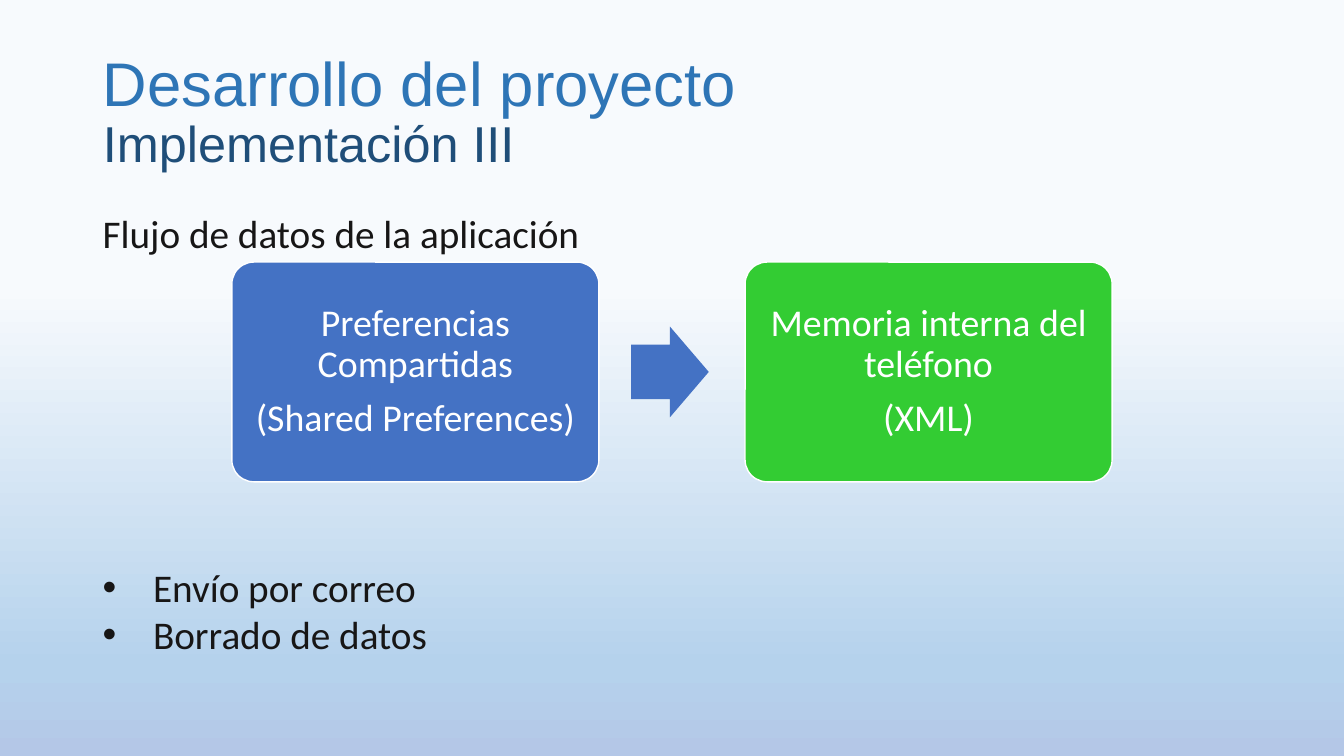
"""Builds the slide on the data flow of the application."""
import copy

import pptx
import pptx.dml.color
import pptx.enum.shapes
import pptx.enum.text
import pptx.oxml
import pptx.oxml.ns
import pptx.util

Inches = pptx.util.Inches
Pt = pptx.util.Pt
SHAPES = pptx.enum.shapes.MSO_SHAPE
ALIGN = pptx.enum.text.PP_ALIGN
ANCHOR = pptx.enum.text.MSO_ANCHOR
AUTO_SIZE = pptx.enum.text.MSO_AUTO_SIZE


def rgb(color):
    return pptx.dml.color.RGBColor.from_string(color)


class FlowSlide:
    left, width = 0.92, 11.5
    ink, blue, green, white = "171616", "4472C4", "33CC33", "FFFFFF"

    def __init__(self, deck):
        self.slide = deck.slides.add_slide(deck.slide_layouts[5])

    def style(self, font, name, size, color):
        font.name, font.size = name, Pt(size)
        font.color.rgb = rgb(color)

    def background(self, stops):
        fill = self.slide.background.fill
        fill.gradient()
        fill.gradient_angle = 270
        first = self.slide.element.find(".//" + pptx.oxml.ns.qn("a:gs"))
        first.addnext(copy.deepcopy(first))
        for stop, (position, color) in zip(fill.gradient_stops, stops):
            stop.position = position
            stop.color.rgb = rgb(color)

    def place(self, shape, left, top, width, height):
        shape.left, shape.top = Inches(left), Inches(top)
        shape.width, shape.height = Inches(width), Inches(height)

    def title(self, top, height, lines):
        heading = self.slide.shapes.title
        self.place(heading, self.left, top, self.width, height)
        frame = heading.text_frame
        frame.text = "\v".join(text for text, size, color in lines)
        frame.word_wrap = True
        frame.auto_size = AUTO_SIZE.NONE
        frame.vertical_anchor = ANCHOR.MIDDLE
        paragraph = frame.paragraphs[0]
        paragraph.alignment = ALIGN.LEFT
        paragraph.line_spacing = 0.9
        for run, (text, size, color) in zip(paragraph.runs, lines):
            self.style(run.font, "Arial", size, color)

    def text(self, top, height, lines, bulleted=False):
        box = self.slide.shapes.add_textbox(
            Inches(self.left), Inches(top), Inches(self.width), Inches(height))
        frame = box.text_frame
        frame.text = "\n".join(lines)
        frame.word_wrap = True
        frame.auto_size = AUTO_SIZE.SHAPE_TO_FIT_TEXT
        for paragraph in frame.paragraphs:
            if bulleted:
                self.bullet(paragraph)
            self.style(paragraph.runs[0].font, "Calibri", 28, self.ink)

    def bullet(self, paragraph):
        properties = paragraph._p.get_or_add_pPr()
        properties.set("marL", str(Inches(0.5)))
        properties.set("indent", str(-Inches(0.5)))
        namespace = pptx.oxml.ns.nsdecls("a")
        for mark in ('buFont {} typeface="Arial"', 'buChar {} char="•"'):
            properties.append(pptx.oxml.parse_xml(f"<a:{mark.format(namespace)}/>"))

    def block(self, kind, left, top, width, height, color, adjustments):
        shape = self.slide.shapes.add_shape(
            kind, Inches(left), Inches(top), Inches(width), Inches(height))
        for index, value in enumerate(adjustments):
            shape.adjustments[index] = value
        shape.shadow.inherit = False
        shape.fill.solid()
        shape.fill.fore_color.rgb = rgb(color)
        shape.line.fill.background()
        return shape

    def stage(self, left, color, lines):
        card = self.block(SHAPES.ROUNDED_RECTANGLE, left, 2.6, 3.64, 2.18, color, [0.1])
        card.line.color.rgb = rgb(self.white)
        card.line.width = Pt(1)
        frame = card.text_frame
        frame.text = "\n".join(lines)
        frame.word_wrap = True
        frame.vertical_anchor = ANCHOR.MIDDLE
        frame.margin_left = frame.margin_right = Inches(0.11)
        frame.margin_top = frame.margin_bottom = Inches(0.11)
        for paragraph in frame.paragraphs:
            paragraph.alignment = ALIGN.CENTER
            paragraph.line_spacing = 0.9
            paragraph.space_after = Pt(9.5)
            self.style(paragraph.runs[0].font, "Calibri", 27, self.white)

    def arrow(self, left, top, width, height):
        self.block(SHAPES.RIGHT_ARROW, left, top, width, height, self.blue, [0.6, 0.5])


def main():
    deck = pptx.Presentation()
    deck.slide_width, deck.slide_height = Inches(13.33), Inches(7.5)
    flow = FlowSlide(deck)
    flow.background([(0.38, "F7FAFD"), (0.88, "B5D2EC"), (1, "B4C7E7")])
    flow.title(0.4, 1.45, [("Desarrollo del proyecto", 44, "2E75B6"),
                           ("Implementación III", 36, "1F4E79")])
    flow.stage(2.3, flow.blue, ["Preferencias Compartidas", "(Shared Preferences)"])
    flow.arrow(6.26, 3.24, 0.77, 0.9)
    flow.stage(7.39, flow.green, ["Memoria interna del teléfono", "(XML)"])
    flow.text(2.03, 0.57, ["Flujo de datos de la aplicación"])
    flow.text(5.54, 1.04, ["Envío por correo", "Borrado de datos"], bulleted=True)
    deck.save("out.pptx")


if __name__ == "__main__":
    main()
